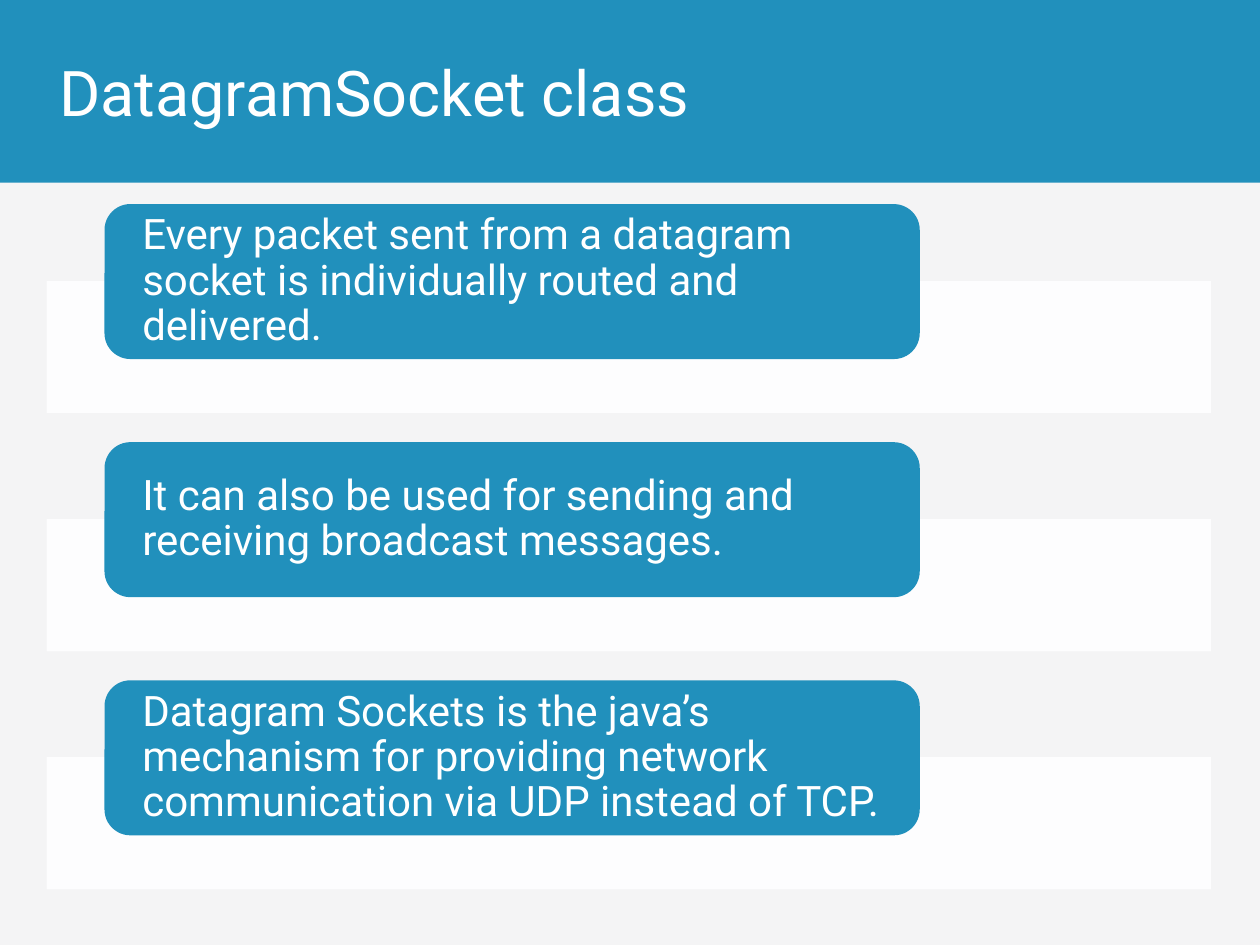
"""Build the slide on the DatagramSocket class."""
from dataclasses import dataclass

from lxml.etree import SubElement
from pptx import Presentation
from pptx.dml.color import RGBColor
from pptx.enum.shapes import MSO_SHAPE as Shape
from pptx.enum.text import MSO_ANCHOR as Anchor, PP_ALIGN as Align
from pptx.oxml.ns import qn
from pptx.util import Inches, Pt


@dataclass(frozen=True)
class Theme:
    background: RGBColor = RGBColor.from_string("F4F4F5")
    accent: RGBColor = RGBColor.from_string("2190BC")
    white: RGBColor = RGBColor.from_string("FFFFFF")
    font: str = "Roboto"
    title_size: Pt = Pt(36)
    body_size: Pt = Pt(24)


THEME = Theme()
TITLE = "DatagramSocket class"
STATEMENTS = (
    "Every packet sent from a datagram socket is individually routed and delivered.",
    "It can also be used for sending and receiving broadcast messages.",
    "Datagram Sockets is the java’s mechanism for providing network "
    "communication via UDP instead of TCP.",
)
HEADER_HEIGHT = 1.45
FIRST_TOP = 1.62
ROW_STEP = 1.89
PANEL_DROP = 0.61


def add_block(page, kind, left, top, width, height, color):
    box = page.shapes.add_shape(
        kind, Inches(left), Inches(top), Inches(width), Inches(height)
    )
    box.shadow.inherit = False
    box.fill.solid()
    box.fill.fore_color.rgb = color
    box.line.fill.background()
    return box


def write_text(box, text, size):
    frame = box.text_frame
    frame.text = text
    frame.word_wrap = True
    frame.vertical_anchor = Anchor.MIDDLE
    para = frame.paragraphs[0]
    para.alignment = Align.LEFT
    para.line_spacing = 1.0
    font = para.runs[0].font
    font.name = THEME.font
    font.size = size
    font.color.rgb = THEME.white
    return para


def add_header(page):
    band = add_block(page, Shape.RECTANGLE, 0, 0, 10, HEADER_HEIGHT, THEME.accent)
    title = page.shapes.title
    title._element.addprevious(band._element)
    title.left, title.top = Inches(0.37), Inches(0)
    title.width, title.height = Inches(8.62), Inches(HEADER_HEIGHT)
    write_text(title, TITLE, THEME.title_size)


def add_statement(page, top, text):
    panel = add_block(
        page, Shape.RECTANGLE, 0.37, top + PANEL_DROP, 9.24, 1.05, THEME.white
    )
    color = next(panel._element.spPr.iter(qn("a:srgbClr")))
    SubElement(color, qn("a:alpha"), val="90000")
    card = add_block(page, Shape.ROUNDED_RECTANGLE, 0.83, top, 6.47, 1.23, THEME.accent)
    frame = card.text_frame
    frame.margin_left = frame.margin_right = Inches(0.24)
    frame.margin_top = frame.margin_bottom = Inches(0)
    write_text(card, text, THEME.body_size).line_spacing = 0.9


def main():
    deck = Presentation()
    deck.slide_width, deck.slide_height = Inches(10), Inches(7.5)
    page = deck.slides.add_slide(deck.slide_layouts[5])
    page.background.fill.solid()
    page.background.fill.fore_color.rgb = THEME.background
    add_header(page)
    for row, text in enumerate(STATEMENTS):
        add_statement(page, FIRST_TOP + row * ROW_STEP, text)
    deck.save("out.pptx")


if __name__ == "__main__":
    main()
